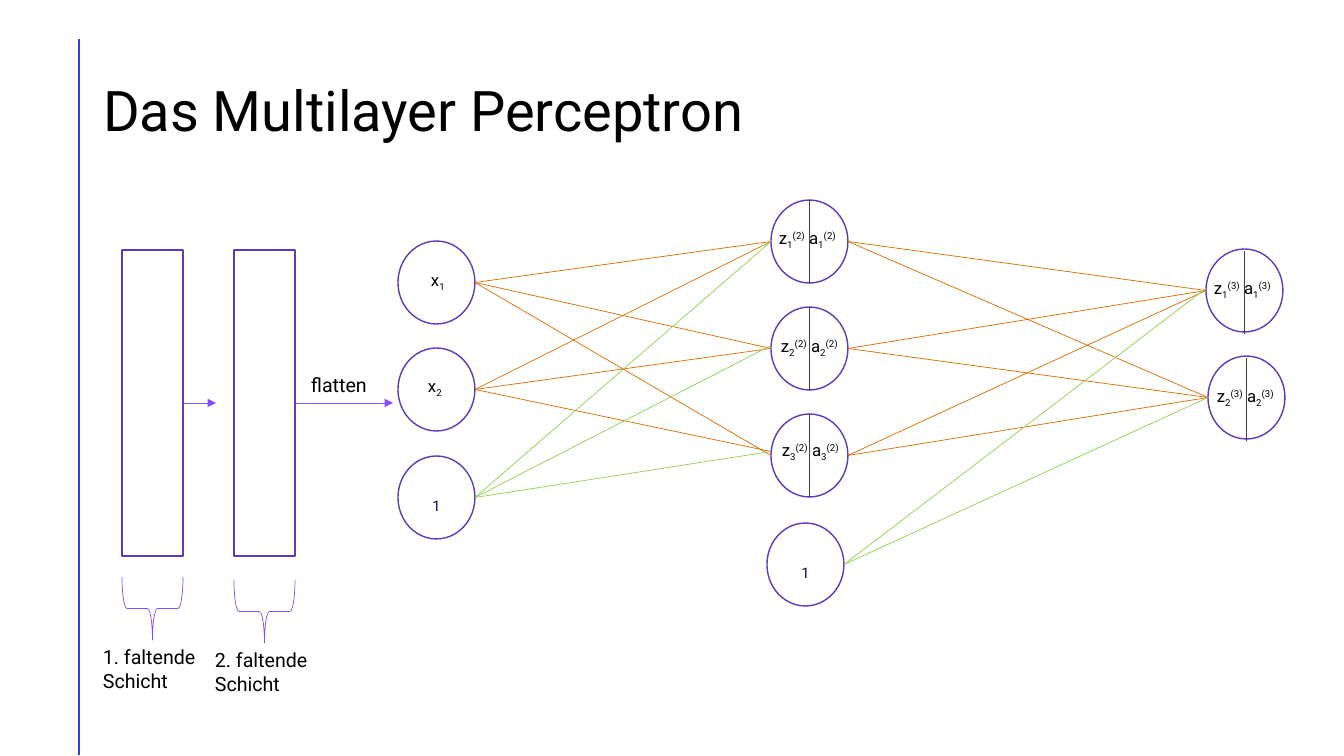
from dataclasses import dataclass

from lxml.etree import SubElement
from pptx import Presentation
from pptx.dml.color import RGBColor
from pptx.enum.shapes import MSO_CONNECTOR, MSO_SHAPE
from pptx.enum.text import MSO_ANCHOR, MSO_AUTO_SIZE, PP_ALIGN
from pptx.oxml.ns import qn
from pptx.util import Emu, Pt


@dataclass(frozen=True)
class Theme:
    font: str = "Roboto"
    text: str = "000000"
    bias_text: str = "10013F"
    accent: str = "2F3EE6"
    outline: str = "5F39BD"
    arrow: str = "814DFF"
    divider: str = "404040"
    weight: str = "D96C00"
    bias: str = "92D050"
    title_size: int = 40
    bias_size: int = 18
    label_size: int = 14
    node_size: int = 12
    thin: float = 0.5
    medium: float = 1
    thick: float = 2


T = Theme()
SUB, SUP = -25, 30

TITLE = "Das Multilayer Perceptron"
# (left, top) of each circle
NODES = {
    "x1": (398, 241), "x2": (398, 348), "bias1": (398, 456),
    "h1": (771, 200), "h2": (771, 307), "h3": (771, 414), "bias2": (767, 523),
    "y1": (1206, 249), "y2": (1208, 356),
}
NODE_W, NODE_H = 77, 83
# split node: (unit, layer, label left, label top, divider drop)
SPLIT = {
    "h1": ("1", "(2)", 769, 223, 0),
    "h2": ("2", "(2)", 771, 331, 0),
    "h3": ("3", "(2)", 772, 435, 0),
    "y1": ("1", "(3)", 1204, 273, 2),
    "y2": ("2", "(3)", 1207, 381, 2),
}
INPUTS = [("1", 421, 265), ("2", 418, 371)]
LAYERS = [
    (("x1", "x2"), "bias1", ("h1", "h2", "h3")),
    (("h1", "h2", "h3"), "bias2", ("y1", "y2")),
]
# wires that land a little above the middle of the circle
RISE = {("x2", "h3"): 4, ("bias1", "h2"): 3, ("bias1", "h3"): 4, ("bias2", "y1"): 2}
# (left of bar, top of brace, caption)
BARS = [(122, 578, ("1. faltende", "Schicht")), (234, 581, ("2. faltende", "Schicht"))]
BAR_TOP, BAR_W, BAR_H = 250, 61, 306
ARROW_ENDS = [216, 393]


def px(n):
    return Emu(round(n * 914400 / 100.8))


def box(*lengths):
    return [px(n) for n in lengths]


def assign(obj, formats):
    for name, value in formats.items():
        setattr(obj, name, value)


def write(p, text, size, color=T.text, baseline=0):
    r = p.add_run()
    r.text = text
    assign(r.font, {"name": T.font, "size": Pt(size)})
    r.font.color.rgb = RGBColor.from_string(color)
    if baseline:
        r._r.get_or_add_rPr().set("baseline", str(baseline * 1000))


def stroke(obj, color, width):
    obj.line.color.rgb = RGBColor.from_string(color)
    obj.line.width = Pt(width)


def outline(shapes, kind, area, color=T.outline, width=T.medium):
    sp = shapes.add_shape(kind, *box(*area))
    sp.shadow.inherit = False
    sp.fill.background()
    stroke(sp, color, width)
    return sp


def line(shapes, start, end, color, width=T.thin, arrow=False):
    cxn = shapes.add_connector(MSO_CONNECTOR.STRAIGHT, *box(*start, *end))
    stroke(cxn, color, width)
    if arrow:
        SubElement(cxn.line._get_or_add_ln(), qn("a:tailEnd"), type="triangle")
    SubElement(cxn._element.spPr, qn("a:effectLst"))
    return cxn


def label(shapes, area, paragraphs, size, wrap=True):
    """Add a text box; each paragraph is a list of (text, baseline) runs."""
    tf = shapes.add_textbox(*box(*area)).text_frame
    assign(tf, {"word_wrap": wrap, "auto_size": MSO_AUTO_SIZE.SHAPE_TO_FIT_TEXT})
    for i, runs in enumerate(paragraphs):
        p = tf.add_paragraph() if i else tf.paragraphs[0]
        for text, baseline in runs:
            write(p, text, size, baseline=baseline)


def add_title(s):
    title = s.shapes.title
    assign(title, dict(zip(("left", "top", "width", "height"), box(93, 40, 1159, 146))))
    assign(title.text_frame, {"vertical_anchor": MSO_ANCHOR.MIDDLE, "word_wrap": True})
    p = title.text_frame.paragraphs[0]
    assign(p, {"alignment": PP_ALIGN.LEFT, "line_spacing": 0.9})
    write(p, TITLE, T.title_size)


def add_network(shapes):
    for name, (x, y) in NODES.items():
        sp = outline(shapes, MSO_SHAPE.FLOWCHART_CONNECTOR, (x, y, NODE_W, NODE_H))
        if name.startswith("bias"):
            sp.text_frame.vertical_anchor = MSO_ANCHOR.MIDDLE
            p = sp.text_frame.paragraphs[0]
            p.alignment = PP_ALIGN.CENTER
            write(p, "1", T.bias_size, T.bias_text, SUB)

    for units, bias, targets in LAYERS:
        for source in (*units, bias):
            x, y = NODES[source]
            start = (x + NODE_W, y + NODE_H / 2)
            for target in targets:
                tx, ty = NODES[target]
                end = (tx, ty + NODE_H / 2 - RISE.get((source, target), 0))
                line(shapes, start, end, T.bias if source == bias else T.weight)

    for name, (unit, layer, left, top, drop) in SPLIT.items():
        x, y = NODES[name]
        middle = x + NODE_W / 2
        line(shapes, (middle, y + drop), (middle, y + drop + NODE_H), T.divider)
        runs = [("z", 0), (unit, SUB), (layer, SUP), (" a", 0), (unit, SUB), (layer, SUP)]
        label(shapes, (left, top, 107, 30), [runs], T.node_size)
    for unit, left, top in INPUTS:
        label(shapes, (left, top, 51, 30), [[("x", 0), (unit, SUB)]], T.node_size)


def add_convolutions(s):
    for (x, brace_top, caption), arrow_end in zip(BARS, ARROW_ENDS):
        bar = outline(s.shapes, MSO_SHAPE.RECTANGLE, (x, BAR_TOP, BAR_W, BAR_H))
        middle = BAR_TOP + BAR_H / 2
        arrow = line(s.shapes, (x + BAR_W, middle), (arrow_end, middle), T.arrow, arrow=True)
        arrow.begin_connect(bar, 3)

        group = s.shapes.add_group_shape().shapes
        brace = outline(group, MSO_SHAPE.LEFT_BRACE, (x - 1, brace_top, 63, 61), T.arrow, T.thin)
        brace.rotation = 270
        label(group, (x - 29, brace_top + 62, 123, 57),
              [[(text, 0)] for text in caption], T.label_size, wrap=False)
    label(s.shapes, (301, 368, 80, 34), [[("flatten", 0)]], T.label_size, wrap=False)


def main():
    prs = Presentation()
    assign(prs, {"slide_width": px(1344), "slide_height": px(756)})
    s = prs.slides.add_slide(prs.slide_layouts[5])
    line(s.shapes, (79, 39), (79, 755), T.accent, T.thick)
    add_title(s)
    add_network(s.shapes.add_group_shape().shapes)
    add_convolutions(s)
    prs.save("out.pptx")


if __name__ == "__main__":
    main()
